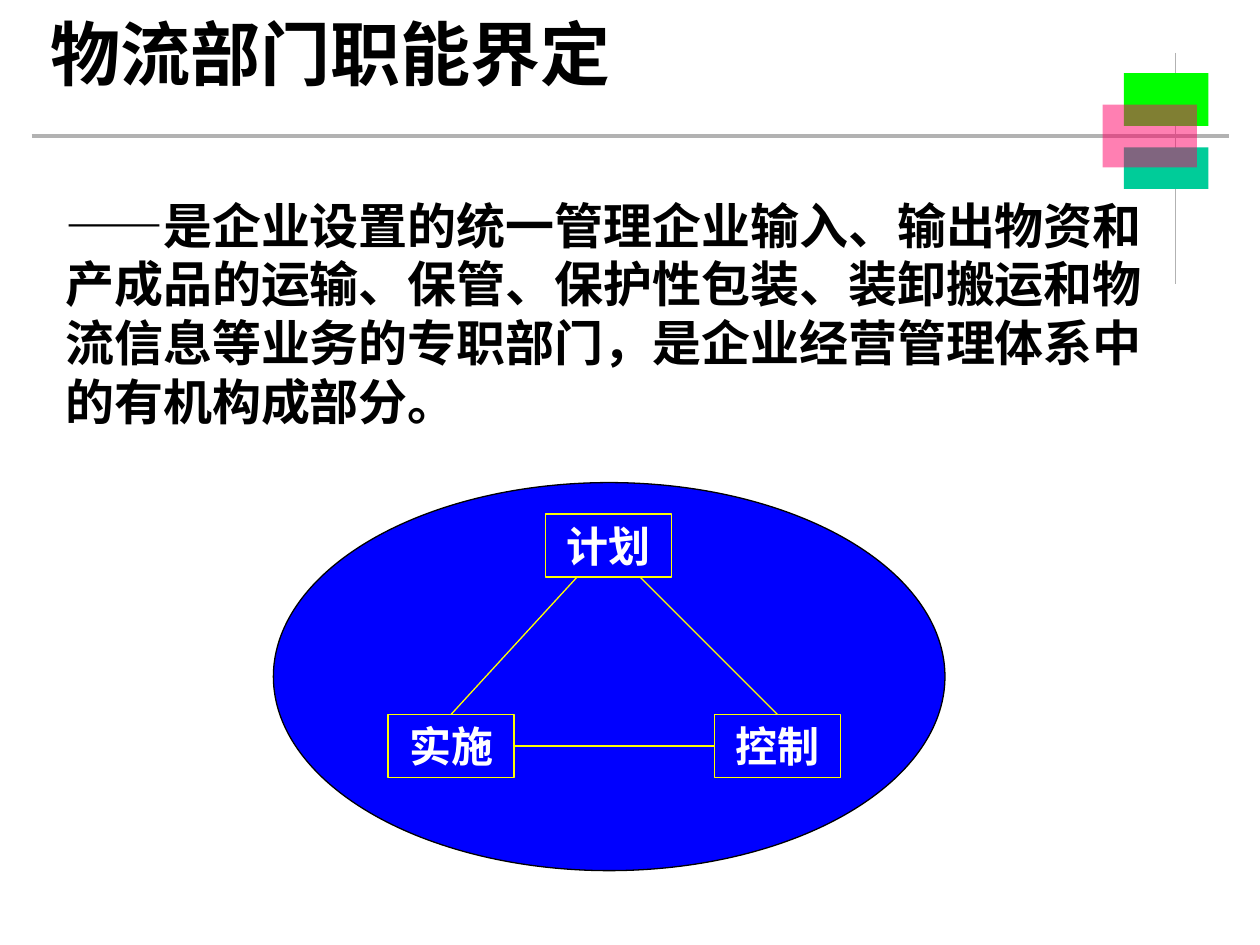
from lxml.etree import SubElement
from pptx import Presentation
from pptx.dml.color import RGBColor
from pptx.enum.shapes import MSO_CONNECTOR, MSO_SHAPE
from pptx.enum.text import MSO_ANCHOR, PP_ALIGN
from pptx.oxml.ns import qn
from pptx.util import Inches, Pt

FONT = "Times New Roman"
BLACK, WHITE, GRAY, YELLOW, BLUE = "000000", "FFFFFF", "B2B2B2", "FFFF00", "0000FF"
TOP, LEFT, RIGHT = 0, 1, 3


def color(hex_code):
    return RGBColor.from_string(hex_code)


def write_text(shape, text, size, font_color, alignment, anchor):
    frame = shape.text_frame
    frame.word_wrap = True
    frame.vertical_anchor = anchor
    frame.text = text
    paragraph = frame.paragraphs[0]
    paragraph.alignment = alignment
    paragraph.space_before = Pt(0)
    font = paragraph.font
    font.name, font.size, font.bold = FONT, Pt(size), True
    font.color.rgb = color(font_color)


def add_line(slide, start, end, line_color, width=0.75):
    points = [Inches(value) for value in (*start, *end)]
    connector = slide.shapes.add_connector(MSO_CONNECTOR.STRAIGHT, *points)
    connector.line.color.rgb = color(line_color)
    connector.line.width = Pt(width)
    SubElement(connector._element.spPr, qn("a:effectLst"))
    return connector


def add_preset(slide, preset, box, fill=None, line=None, alpha=None):
    shape = slide.shapes.add_shape(preset, *[Inches(value) for value in box])
    shape.shadow.inherit = False
    if fill:
        shape.fill.solid()
        shape.fill.fore_color.rgb = color(fill)
    else:
        shape.fill.background()
    if line:
        shape.line.color.rgb = color(line)
        shape.line.width = Pt(0.75)
    else:
        shape.line.fill.background()
    if alpha:
        solid_color = shape._element.spPr.find(qn("a:solidFill"))[0]
        SubElement(solid_color, qn("a:alpha"), val=str(alpha * 1000))
    return shape


def add_decoration(slide, left, top):
    add_line(slide, (0.25, top + 0.66), (9.75, top + 0.66), GRAY, 2.25)
    add_line(slide, (left + 0.58, top), (left + 0.58, top + 1.83), GRAY)
    for x, y, width, height, fill, alpha in (
        (0.17, 0.16, 0.67, 0.42, "00FF00", None),
        (0.17, 0.75, 0.67, 0.33, "00CC99", None),
        (0, 0.41, 0.75, 0.5, "FF0066", 50),
    ):
        box = (left + x, top + y, width, height)
        add_preset(slide, MSO_SHAPE.RECTANGLE, box, fill, alpha=alpha)


def place_title(slide, left, top, width, height):
    title = slide.shapes.title
    title.left, title.top = Inches(left), Inches(top)
    title.width, title.height = Inches(width), Inches(height)
    write_text(title, "物流部门职能界定", 40, BLACK, PP_ALIGN.CENTER, MSO_ANCHOR.MIDDLE)


def add_definition(slide, *box):
    text_box = slide.shapes.add_textbox(*[Inches(value) for value in box])
    text = (
        "——是企业设置的统一管理企业输入、输出物资和产成品的运输、保管、"
        "保护性包装、装卸搬运和物流信息等业务的专职部门，"
        "是企业经营管理体系中的有机构成部分。"
    )
    write_text(text_box, text, 28, BLACK, PP_ALIGN.LEFT, MSO_ANCHOR.TOP)


def add_function_diagram(slide, left, top, width, height):
    add_preset(slide, MSO_SHAPE.OVAL, (left, top, width, height), BLUE, BLACK)

    def add_function(text, x, y):
        box = (left + x, top + y, 1, 0.5)
        shape = add_preset(slide, MSO_SHAPE.RECTANGLE, box, line=YELLOW)
        write_text(shape, text, 24, WHITE, PP_ALIGN.CENTER, MSO_ANCHOR.MIDDLE)
        return shape

    plan_x, plan_y, lower_y = 2.16, 0.25, 1.84
    add_function("计划", plan_x, plan_y)
    execution = add_function("实施", 0.91, lower_y)
    control = add_function("控制", 3.5, lower_y)

    plan_bottom = top + plan_y + 0.5
    for shape, offset in ((execution, 0.25), (control, 0.75)):
        end = (left + plan_x + offset, plan_bottom)
        side = add_line(slide, (left, top), end, YELLOW)
        side.begin_connect(shape, TOP)
    base = add_line(slide, (left, top), (left + width, top), YELLOW)
    base.begin_connect(execution, RIGHT)
    base.end_connect(control, LEFT)


def main():
    presentation = Presentation()
    presentation.slide_width, presentation.slide_height = Inches(10), Inches(7.5)
    slide = presentation.slides.add_slide(presentation.slide_layouts[5])
    add_decoration(slide, 8.75, 0.42)
    place_title(slide, 0.25, 0, 4.75, 0.83)
    add_definition(slide, 0.42, 1.5, 9.08, 1.97)
    add_function_diagram(slide, 2.17, 3.83, 5.33, 3.08)
    presentation.save("out.pptx")


if __name__ == "__main__":
    main()
